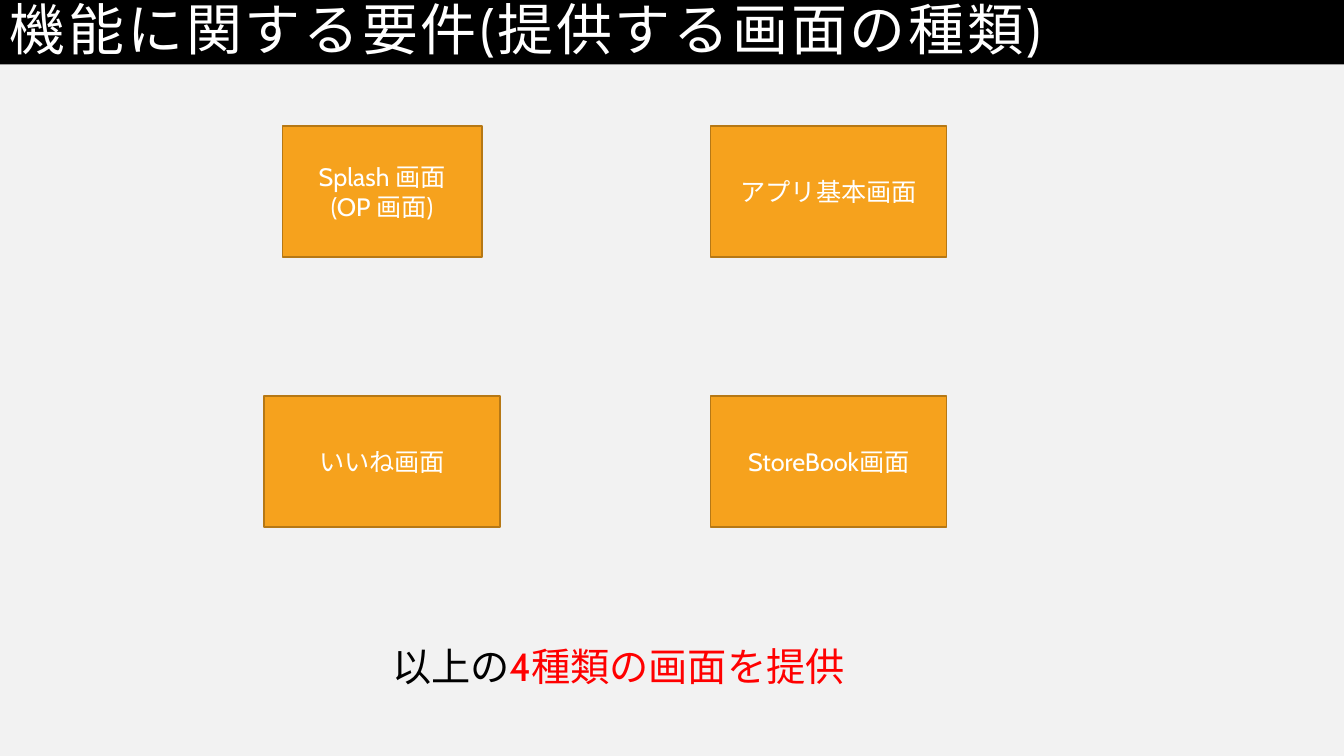
import pptx
import pptx.dml.color
import pptx.enum.shapes
import pptx.enum.text
import pptx.util

WIDTH, HEIGHT = 13.33, 7.5
FONT = "Cabin"
BLACK, WHITE, RED = "000000", "FFFFFF", "FF0000"
ORANGE, BROWN, GREY = "F6A21D", "B67815", "F2F2F2"

# Grid of screen cards: column centres, row tops, card size
COLUMN_CENTRES = (3.79, 8.22)
ROW_TOPS = (1.25, 3.93)
CARD_WIDTH, CARD_HEIGHT = 2.34, 1.3


def color(hex_value):
    return pptx.dml.color.RGBColor.from_string(hex_value)


def inches(*lengths):
    return [pptx.util.Inches(length) for length in lengths]


def add_run(paragraph, text, size, hex_value):
    run = paragraph.add_run()
    run.text = text
    run.font.name = FONT
    run.font.size = pptx.util.Pt(size)
    run.font.color.rgb = color(hex_value)
    return run


def add_box(slide, bounds, fill, outline=None):
    box = slide.shapes.add_shape(
        pptx.enum.shapes.MSO_SHAPE.RECTANGLE, *inches(*bounds))
    box.shadow.inherit = False
    box.fill.solid()
    box.fill.fore_color.rgb = color(fill)
    if outline:
        box.line.color.rgb = color(outline)
        box.line.width = pptx.util.Pt(1)
    else:
        box.line.fill.background()
    box.text_frame.word_wrap = True
    box.text_frame.vertical_anchor = pptx.enum.text.MSO_ANCHOR.MIDDLE
    return box.text_frame


def add_title(slide, text):
    frame = add_box(slide, (0, 0, WIDTH, 0.64), BLACK)
    heading = frame.paragraphs[0]
    heading.alignment = pptx.enum.text.PP_ALIGN.LEFT
    heading.line_spacing = 0.9
    run = add_run(heading, text, 40, WHITE)
    run.font._element.set("spc", "200")


def add_card(slide, column, row, lines, width=CARD_WIDTH):
    left = COLUMN_CENTRES[column] - width / 2
    frame = add_box(slide, (left, ROW_TOPS[row], width, CARD_HEIGHT),
                    ORANGE, BROWN)
    for index, line in enumerate(lines):
        label = frame.add_paragraph() if index else frame.paragraphs[0]
        label.alignment = pptx.enum.text.PP_ALIGN.CENTER
        add_run(label, line, 18, WHITE)


def add_summary(slide, parts):
    summary = slide.shapes.add_textbox(*inches(3.79, 6.32, 4.74, 0.57))
    summary.text_frame.word_wrap = True
    for text, hex_value in parts:
        add_run(summary.text_frame.paragraphs[0], text, 28, hex_value)


def main():
    deck = pptx.Presentation()
    deck.slide_width, deck.slide_height = inches(WIDTH, HEIGHT)
    slide = deck.slides.add_slide(deck.slide_layouts[6])
    slide.background.fill.solid()
    slide.background.fill.fore_color.rgb = color(GREY)

    # The four screens
    add_card(slide, 0, 0, ["Splash 画面", "(OP 画面)"], width=1.98)
    add_card(slide, 1, 0, ["アプリ基本画面"])
    add_card(slide, 0, 1, ["いいね画面"])
    add_card(slide, 1, 1, ["StoreBook画面"])

    # Closing statement and title bar
    add_summary(slide, [("以上の", BLACK), ("4種類の画面を提供", RED)])
    add_title(slide, "機能に関する要件(提供する画面の種類)")

    deck.save("out.pptx")


if __name__ == "__main__":
    main()
